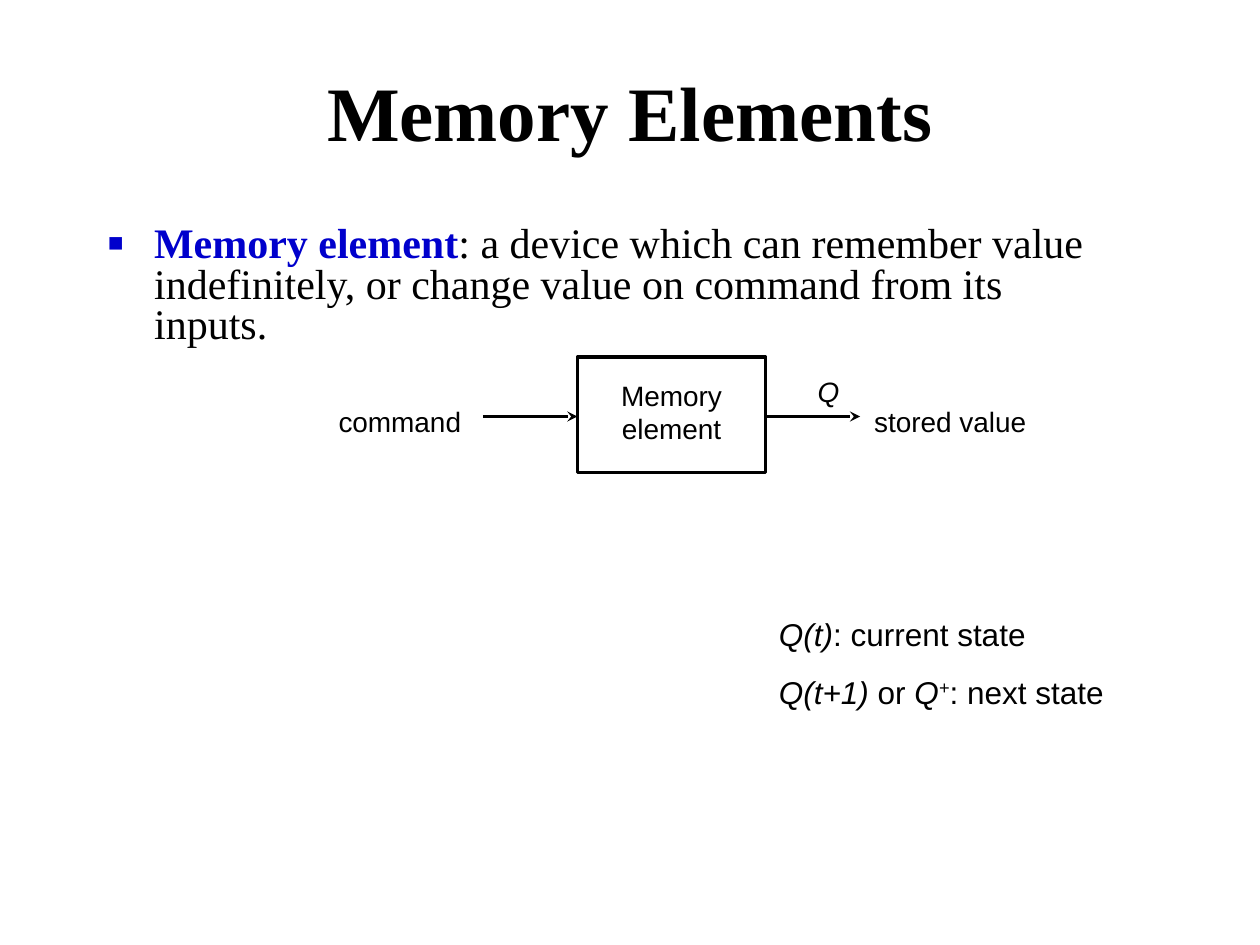
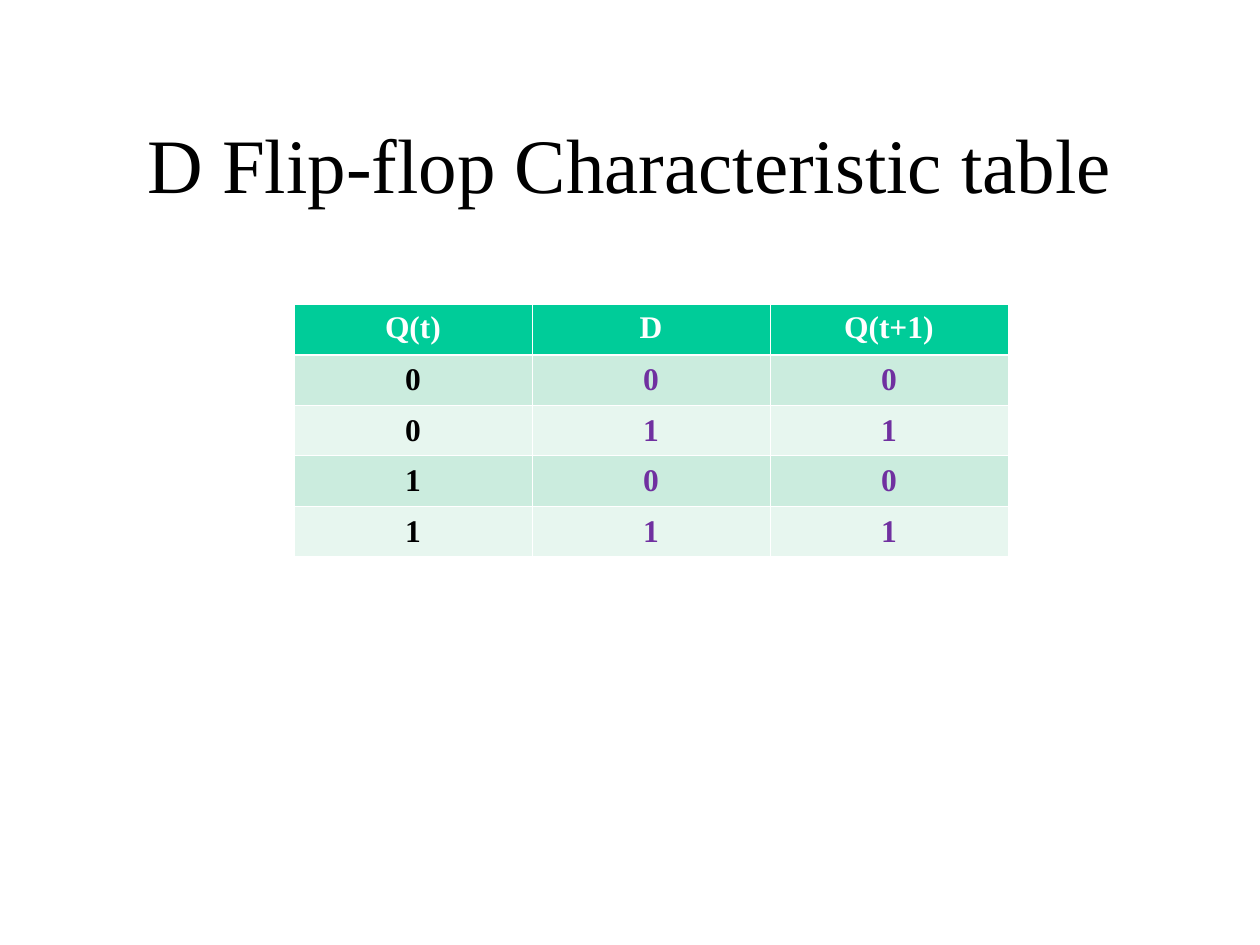
from dataclasses import dataclass

from lxml import etree
from pptx import Presentation
from pptx.dml.color import RGBColor
from pptx.enum.shapes import MSO_CONNECTOR, MSO_SHAPE
from pptx.enum.text import MSO_ANCHOR, PP_ALIGN
from pptx.oxml.ns import qn
from pptx.util import Pt

LEFT, CENTER = PP_ALIGN.LEFT, PP_ALIGN.CENTER
TOP, MIDDLE = MSO_ANCHOR.TOP, MSO_ANCHOR.MIDDLE
RECT, STRAIGHT = MSO_SHAPE.RECTANGLE, MSO_CONNECTOR.STRAIGHT


@dataclass(frozen=True)
class Theme:
    serif: str = "Times New Roman"
    sans: str = "Arial"
    ink: str = "000000"
    white: str = "FFFFFF"
    term: str = "0000CC"
    output: str = "7030A0"
    header: str = "00CC99"
    bands: tuple = ("CBECDE", "E7F6EF")
    title: int = 44
    body: int = 24
    note: int = 18
    label: int = 16


THEME = Theme()


def rgb(code):
    return RGBColor.from_string(code)


def sub(parent, tag, **attrs):
    return etree.SubElement(parent, qn(tag), attrs)


def style(font, name, size, color=THEME.ink, bold=False):
    font.name, font.size, font.bold = name, Pt(size), bold
    font.color.rgb = rgb(color)


def add_run(p, text, italic=None):
    r = p.add_run()
    r.text = text
    r.font.italic = italic
    return r


def text_frame(s, box, anchor=TOP):
    tf = s.shapes.add_textbox(*map(Pt, box)).text_frame
    tf.word_wrap = True
    tf.vertical_anchor = anchor
    return tf


def add_title(s, box, text, bold=False):
    p = text_frame(s, box, MIDDLE).paragraphs[0]
    p.alignment = CENTER
    add_run(p, text)
    style(p.font, THEME.serif, THEME.title, bold=bold)


def add_definition(s, box, term, meaning):
    p = text_frame(s, box).paragraphs[0]
    p.line_spacing, p.space_before = 0.8, Pt(6)
    style(p.font, THEME.serif, THEME.body)
    r = add_run(p, term)
    r.font.bold = True
    r.font.color.rgb = rgb(THEME.term)
    add_run(p, meaning)
    # Square bullet with hanging indent
    pPr = p._p.get_or_add_pPr()
    indent = Pt(27)
    pPr.set("marL", str(indent))
    pPr.set("indent", str(-indent))
    bullet = [etree.Element(qn(tag)) for tag in ("a:buClr", "a:buSzPct", "a:buFont", "a:buChar")]
    sub(bullet[0], "a:srgbClr", val=THEME.term)
    bullet[1].set("val", "120000")
    bullet[2].set("typeface", THEME.sans)
    bullet[3].set("char", "▪")
    for e in bullet:
        pPr.insert_element_before(e, "a:tabLst", "a:defRPr", "a:extLst")


def add_label(s, box, text, italic=None, spaced=False):
    p = text_frame(s, box).paragraphs[0]
    p.alignment, p.space_before = CENTER, Pt(10)
    style(p.font, THEME.sans, THEME.label)
    add_run(p, text, italic)
    if spaced:
        add_run(p, " ").font.size = Pt(THEME.note)


def add_arrow(s, x, y, length):
    c = s.shapes.add_connector(STRAIGHT, Pt(x), Pt(y), Pt(x + length), Pt(y))
    c.line.color.rgb = rgb(THEME.ink)
    c.line.width = Pt(1.5)
    sub(c.line._get_or_add_ln(), "a:tailEnd", type="stealth")
    sub(c._element.spPr, "a:effectLst")


def add_block_diagram(s, box):
    x, y, w, h = box
    arrow, element_w, label_w = 54, 107.5, 108
    element_x = x + 150
    output_x = element_x + element_w
    stored_x = output_x + arrow
    arrow_y, label_y = y + 34, y + 21.5

    # Input side
    add_label(s, (x, label_y, 102, 29), "command", spaced=True)
    add_arrow(s, element_x - arrow, arrow_y, arrow)

    # Memory element
    sp = s.shapes.add_shape(RECT, Pt(element_x), Pt(y), Pt(element_w), Pt(h))
    sp.shadow.inherit = False
    sp.fill.background()
    sp.line.color.rgb = rgb(THEME.ink)
    sp.line.width = Pt(2)
    add_label(s, (element_x + 5.75, y + 8.5, 96, 46), "Memory element")

    # Output side
    add_arrow(s, output_x, arrow_y, arrow)
    add_label(s, (stored_x - 36, y + 6.25, 36, 26.5), "Q", italic=True)
    add_label(s, (stored_x, label_y, label_w, 29), "stored value", spaced=True)


def add_state_notes(s, box):
    notes = (
        (("Q(t)", True), (": current state", False)),
        (("Q(t+1)", True), (" or ", False), ("Q", True), ("+", True), (": next state", False)),
    )
    tf = text_frame(s, box)
    for i, parts in enumerate(notes):
        p = tf.add_paragraph() if i else tf.paragraphs[0]
        p.alignment, p.space_before = LEFT, Pt(11.2)
        style(p.font, THEME.sans, THEME.note)
        for text, italic in parts:
            r = add_run(p, text, italic)
            if text == "+":
                r._r.get_or_add_rPr().set("baseline", "30000")


def set_borders(cell, widths):
    tcPr = cell._tc.get_or_add_tcPr()
    for side, width in zip("LRTB", widths):
        ln = sub(tcPr, f"a:ln{side}", w=str(Pt(width)))
        sub(sub(ln, "a:solidFill"), "a:srgbClr", val=THEME.white)


def add_truth_table(s, box, rows):
    x, y, w, h = box
    n_cols = len(rows[0])
    table = s.shapes.add_table(len(rows), n_cols, *map(Pt, box)).table
    thin, thick = 0.45, 1.47
    for col in table.columns:
        col.width = Pt(w / n_cols)
    for i, values in enumerate(rows):
        table.rows[i].height = Pt(h / len(rows))
        for j, value in enumerate(values):
            cell = table.cell(i, j)
            set_borders(cell, (thin, thin, thick if i == 1 else thin, thin if i else thick))
            cell.fill.solid()
            cell.fill.fore_color.rgb = rgb(THEME.bands[(i - 1) % 2] if i else THEME.header)
            cell.vertical_anchor = MIDDLE if i else TOP
            p = cell.text_frame.paragraphs[0]
            p.alignment = CENTER
            color = THEME.white if i == 0 else THEME.output if j else THEME.ink
            style(p.font, THEME.serif, THEME.note, color, bold=True)
            # Runs repeat the style so that it wins over the table style
            style(add_run(p, value).font, THEME.serif, THEME.note, color, bold=True)


def memory_slide(s):
    add_title(s, (54, 18, 612, 90), "Memory Elements", bold=True)
    add_definition(
        s, (54, 126, 584, 82), "Memory element",
        ": a device which can remember value indefinitely, "
        "or change value on command from its inputs.")
    add_block_diagram(s, (180, 204, 420, 66))
    add_state_notes(s, (438, 348, 210, 62))


def flip_flop_slide(s):
    add_title(s, (54, 48, 612, 90), "D Flip-flop Characteristic table")
    # The next state of a D flip-flop equals D
    states = [(q, d, d) for q in "01" for d in "01"]
    add_truth_table(s, (168, 174, 408, 144), [("Q(t)", "D", "Q(t+1)"), *states])


def main():
    prs = Presentation()
    prs.slide_width, prs.slide_height = Pt(720), Pt(540)
    for build in (memory_slide, flip_flop_slide):
        build(prs.slides.add_slide(prs.slide_layouts[6]))
    prs.save("out.pptx")


if __name__ == "__main__":
    main()
